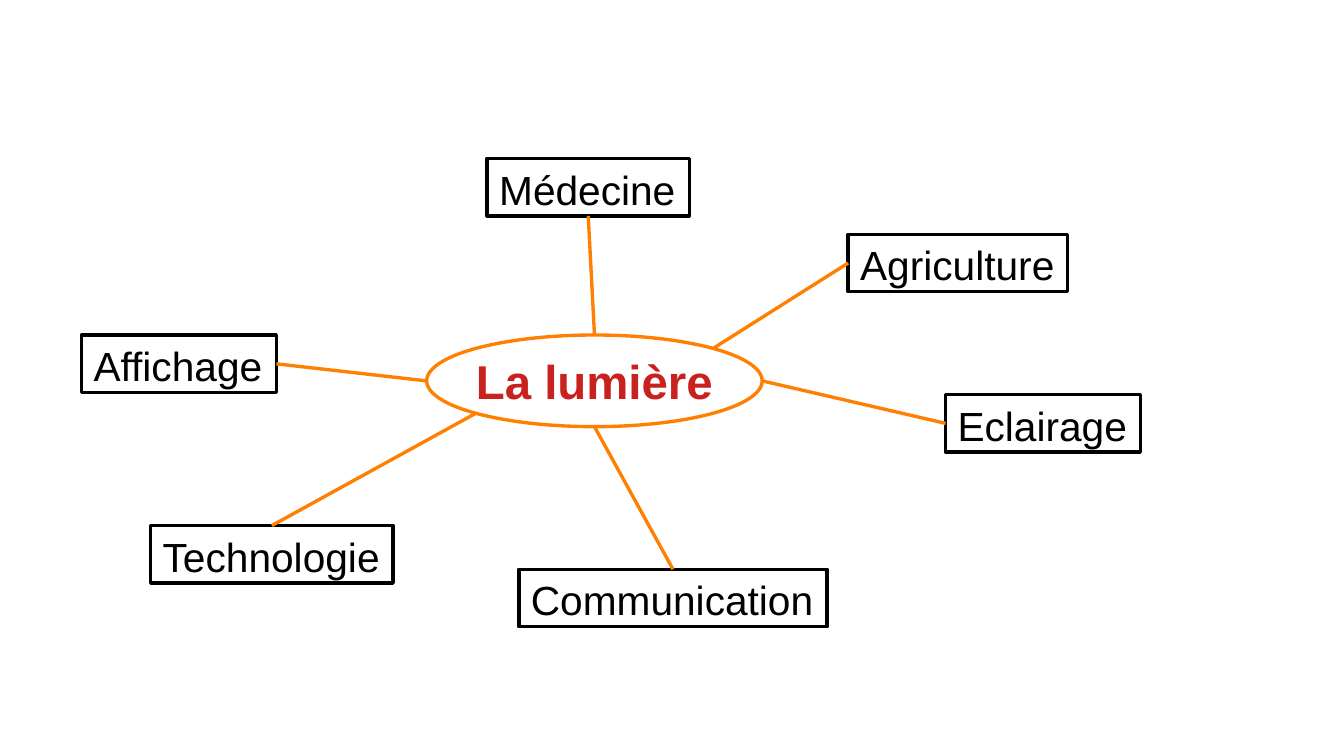
import math

from lxml import etree
from pptx import Presentation
from pptx import util as u
from pptx.dml import color
from pptx.enum import shapes, text
from pptx.oxml import ns

ORANGE, RED, BLACK, WHITE = "FF8000", "C9211E", "000000", "FFFFFF"
FONT = "Arial"
STROKE = u.Pt(1.98)
USE_HEIGHT = 1.2
THEME = (8.89, 6.98, 6.99, 1.91)
TOP, LEFT, BOTTOM, RIGHT = range(4)

USES = [
    ("Médecine", 10.15, 3.3, 4.21, BOTTOM, -90),
    ("Eclairage", 19.7, 8.22, 4.06, LEFT, 0),
    ("Affichage", 1.7, 6.98, 4.06, RIGHT, 180),
    ("Communication", 10.81, 11.86, 6.42, TOP, 90),
    ("Agriculture", 17.67, 4.88, 4.57, LEFT, -45),
    ("Technologie", 3.14, 10.95, 5.05, TOP, 135),
]


def paint(target, hex_code):
    target.rgb = color.RGBColor.from_string(hex_code)


def stroke(line, hex_code):
    line.width = STROKE
    paint(line.color, hex_code)


def write(frame, wording, size, hex_code, bold=False):
    frame.word_wrap = False
    paragraph = frame.paragraphs[0]
    run = paragraph.add_run()
    run.text = wording
    run.font.name = FONT
    run.font.size = u.Pt(size)
    run.font.bold = bold
    paint(run.font.color, hex_code)
    return paragraph


def add_theme(slide, wording):
    theme = slide.shapes.add_shape(shapes.MSO_SHAPE.OVAL, *map(u.Cm, THEME))
    theme.shadow.inherit = False
    theme.fill.solid()
    paint(theme.fill.fore_color, WHITE)
    stroke(theme.line, ORANGE)
    theme.text_frame.vertical_anchor = text.MSO_ANCHOR.MIDDLE
    paragraph = write(theme.text_frame, wording, 28, RED, bold=True)
    paragraph.alignment = text.PP_ALIGN.CENTER


def add_use(slide, name, left, top, width):
    use = slide.shapes.add_textbox(*map(u.Cm, (left, top, width, USE_HEIGHT)))
    stroke(use.line, BLACK)
    write(use.text_frame, name, 24, BLACK)
    use.text_frame.auto_size = text.MSO_AUTO_SIZE.SHAPE_TO_FIT_TEXT
    return use


def theme_edge(angle):
    left, top, width, height = THEME
    turn = math.radians(angle)
    return (u.Cm(left + width / 2 * (1 + math.cos(turn))),
            u.Cm(top + height / 2 * (1 + math.sin(turn))))


def add_branch(slide, use, side, angle):
    start = theme_edge(angle)
    branch = slide.shapes.add_connector(shapes.MSO_CONNECTOR.STRAIGHT, *start, *start)
    branch.end_connect(use, side)
    stroke(branch.line, ORANGE)
    etree.SubElement(branch._element.spPr, ns.qn("a:effectLst"))


def main():
    deck = Presentation()
    deck.slide_width, deck.slide_height = u.Cm(28), u.Cm(15.75)
    slide = deck.slides.add_slide(deck.slide_layouts.get_by_name("Blank"))
    add_theme(slide, "La lumière")
    for name, left, top, width, side, angle in USES:
        use = add_use(slide, name, left, top, width)
        add_branch(slide, use, side, angle)
    deck.save("out.pptx")


if __name__ == "__main__":
    main()
